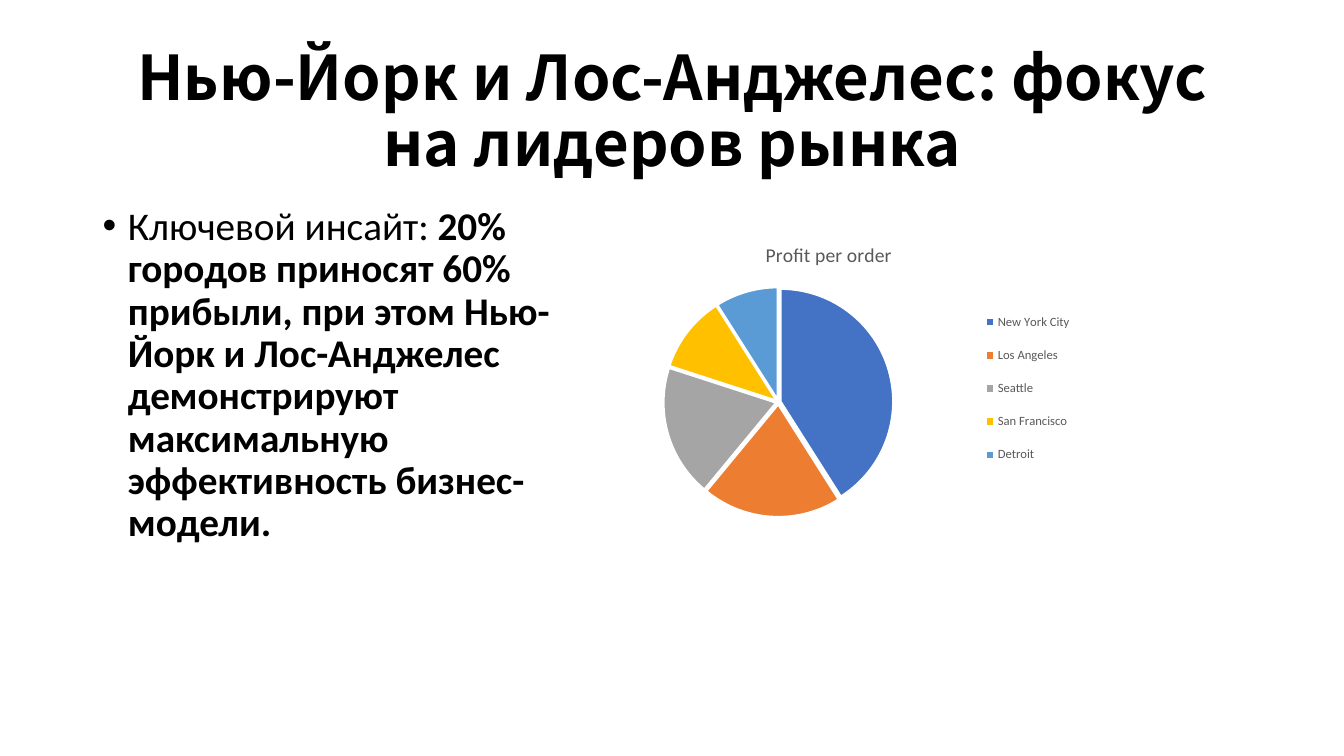
from lxml.etree import SubElement
from pptx import Presentation
from pptx.chart.data import CategoryChartData
from pptx.dml.color import RGBColor
from pptx.enum.chart import XL_CHART_TYPE as ChartType, XL_LEGEND_POSITION as LegendPosition
from pptx.enum.text import MSO_ANCHOR as Anchor, PP_ALIGN as Align
from pptx.oxml.ns import qn
from pptx.util import Pt

PX = 9144  # 100 px to the inch
BLACK = RGBColor(0x00, 0x00, 0x00)
WHITE = RGBColor(0xFF, 0xFF, 0xFF)
GREY = RGBColor(0x59, 0x59, 0x59)
BODY_FONT = "Calibri"
TITLE_FONT = "Noto Sans CJK JP"
CITY_PROFITS = [
    ("New York City", 41, RGBColor(0x44, 0x72, 0xC4)),
    ("Los Angeles", 20, RGBColor(0xED, 0x7D, 0x31)),
    ("Seattle", 19, RGBColor(0xA5, 0xA5, 0xA5)),
    ("San Francisco", 11, RGBColor(0xFF, 0xC0, 0x00)),
    ("Detroit", 9, RGBColor(0x5B, 0x9B, 0xD5)),
]


def px(*lengths):
    return [length * PX for length in lengths]


def style_font(font, size, color, name=BODY_FONT, bold=False):
    font.name, font.size, font.bold = name, Pt(size), bold
    font.color.rgb = color


def add_text(slide, box, runs, *, size, font=BODY_FONT, align=Align.LEFT,
             anchor=Anchor.TOP, space_before=0, bullet=False):
    """Add one paragraph made of (text, bold) runs."""
    frame = slide.shapes.add_textbox(*px(*box)).text_frame
    frame.word_wrap = True
    frame.vertical_anchor = anchor
    paragraph = frame.paragraphs[0]
    paragraph.alignment = align
    paragraph.line_spacing = 0.9
    paragraph.space_before = Pt(space_before)
    for text, bold in runs:
        run = paragraph.add_run()
        run.text = text
        style_font(run.font, size, BLACK, font, bold)
    if bullet:
        add_bullet(paragraph)


def add_bullet(paragraph):
    properties = paragraph._p.get_or_add_pPr()
    properties.set("marL", str(25 * PX))
    properties.set("indent", str(-25 * PX))
    SubElement(properties, qn("a:buFont"), typeface="Arial")
    SubElement(properties, qn("a:buChar"), char="•")


def place(parent, position, x, y, w, h, inner=False):
    """Fix a chart part's box, in fractions of the chart's size."""
    for old_layout in parent.findall(qn("c:layout")):
        parent.remove(old_layout)
    layout = SubElement(parent, qn("c:layout"))
    parent.insert(position, layout)
    manual = SubElement(layout, qn("c:manualLayout"))
    settings = [("layoutTarget", "inner")] if inner else []
    settings += [("xMode", "edge"), ("yMode", "edge"),
                 ("x", x), ("y", y), ("w", w), ("h", h)]
    for tag, value in settings:
        SubElement(manual, qn(f"c:{tag}"), val=str(value))


def add_profit_pie(slide, box):
    cities, profits, colors = zip(*CITY_PROFITS)
    chart_data = CategoryChartData()
    chart_data.categories = cities
    chart_data.add_series("Series 1", profits)
    chart = slide.shapes.add_chart(ChartType.PIE, *px(*box), chart_data).chart
    style_font(chart.font, 10, BLACK)

    heading = chart.chart_title.text_frame.paragraphs[0].add_run()
    heading.text = "Profit per order"
    style_font(heading.font, 14, GREY)
    chart.chart_title.include_in_layout = False

    chart.has_legend = True
    chart.legend.position = LegendPosition.RIGHT
    chart.legend.include_in_layout = False
    style_font(chart.legend.font, 9, GREY)
    place(chart.legend._element, 1, 0.8, 0.23, 0.19, 0.61)

    pie = chart.plots[0]
    pie.vary_by_categories = True
    place(pie._element.getparent(), 0, 0.17, 0.2, 0.46, 0.76, inner=True)
    profit_series = pie.series[0]
    for index, color in enumerate(colors):
        slice_format = profit_series.points[index].format
        slice_format.fill.solid()
        slice_format.fill.fore_color.rgb = color
        slice_format.line.color.rgb = WHITE
        slice_format.line.width = Pt(1.5)
    series_xml = profit_series._element
    explosion = SubElement(series_xml, qn("c:explosion"), val="2")
    series_xml.find(qn("c:dPt")).addprevious(explosion)


def main():
    presentation = Presentation()
    presentation.slide_width, presentation.slide_height = px(1333, 750)
    slide = presentation.slides.add_slide(presentation.slide_layouts[6])
    add_text(slide, (92, 40, 1150, 145),
             [("Нью-Йорк и Лос-Анджелес: фокус на лидеров рынка", True)],
             size=44, font=TITLE_FONT, align=Align.CENTER, anchor=Anchor.MIDDLE)
    add_text(slide, (92, 200, 517, 476),
             [("Ключевой инсайт: ", False),
              ("20% городов приносят 60% прибыли, при этом Нью-Йорк и "
               "Лос-Анджелес демонстрируют максимальную эффективность "
               "бизнес-модели.", True)],
             size=28, space_before=10, bullet=True)
    add_profit_pie(slide, (572, 225, 500, 300))
    presentation.save("out.pptx")


if __name__ == "__main__":
    main()
